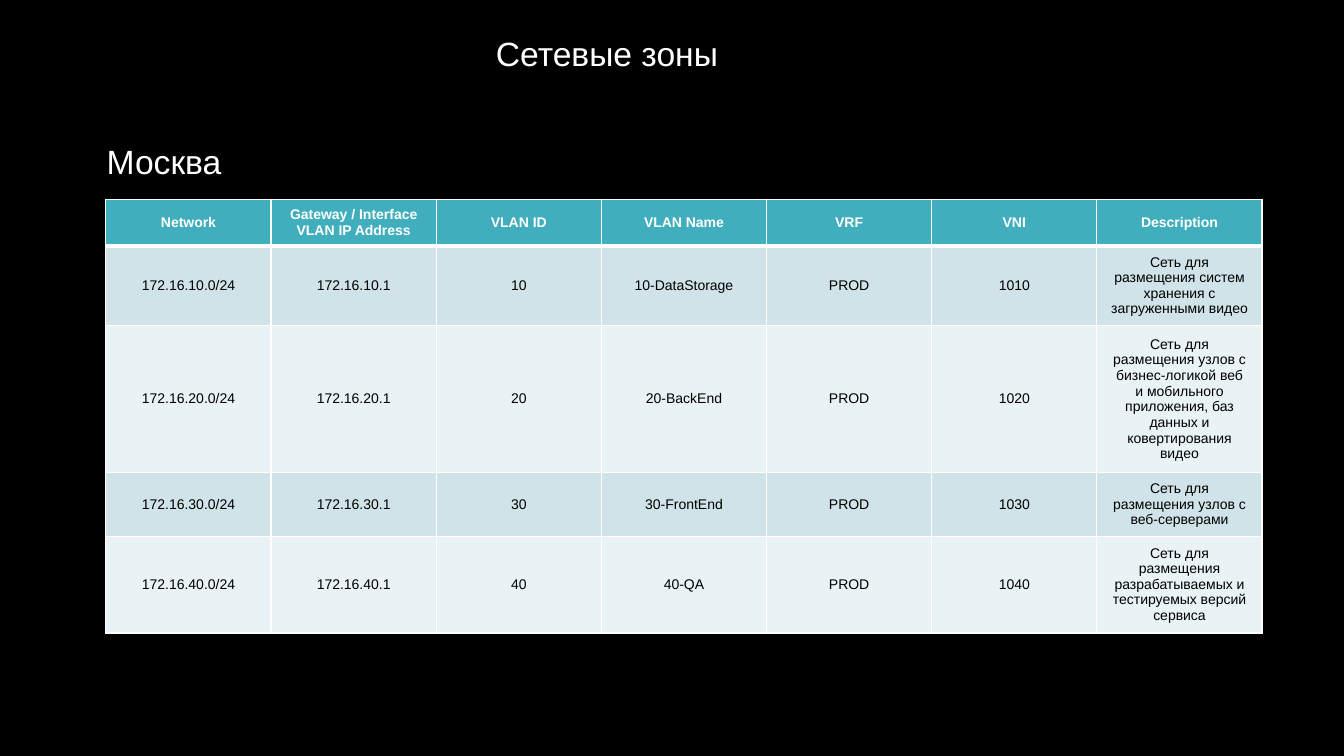
from lxml.etree import SubElement
from pptx import Presentation
from pptx.dml.color import RGBColor
from pptx.enum.text import MSO_ANCHOR, MSO_AUTO_SIZE, PP_ALIGN
from pptx.oxml.ns import qn
from pptx.util import Inches, Pt

WHITE, BLACK = "FFFFFF", "000000"
HEADER_FILL = "41AEBD"
BAND_FILLS = ("CFE3E8", "E9F2F4")

HEADINGS = ("Network", "Gateway / Interface VLAN IP Address", "VLAN ID",
            "VLAN Name", "VRF", "VNI", "Description")
# VLAN number, name suffix, description
ZONES = (
    (10, "DataStorage", "Сеть для размещения систем хранения с загруженными видео"),
    (20, "BackEnd", "Сеть для размещения узлов с бизнес-логикой веб и мобильного "
                    "приложения, баз данных и ковертирования видео"),
    (30, "FrontEnd", "Сеть для размещения узлов с веб-серверами"),
    (40, "QA", "Сеть для размещения разрабатываемых и тестируемых версий сервиса"),
)
ROW_HEIGHTS = (0.46, 0.79, 1.46, 0.63, 0.96)


def color(value):
    return RGBColor.from_string(value)


def write(frame, text, size=10, fill=WHITE, bold=False, align=PP_ALIGN.LEFT):
    paragraph = frame.paragraphs[0]
    paragraph.alignment = align
    run = paragraph.add_run()
    run.text = text
    run.font.name = "Arial"
    run.font.size = Pt(size)
    run.font.bold = bold
    run.font.color.rgb = color(fill)


def add_heading(slide, text, left, top, width, height):
    frame = slide.shapes.add_textbox(
        Inches(left), Inches(top), Inches(width), Inches(height)).text_frame
    frame.word_wrap = False
    frame.auto_size = MSO_AUTO_SIZE.SHAPE_TO_FIT_TEXT
    write(frame, text, size=24)


def set_borders(cell, top, bottom):
    properties = cell._tc.get_or_add_tcPr()
    widths = {"a:lnL": 1, "a:lnR": 1, "a:lnT": top, "a:lnB": bottom}
    # Border lines come before the fill in the cell properties
    for position, (side, width) in enumerate(widths.items()):
        line = SubElement(properties, qn(side), w=str(Pt(width)))
        fill = SubElement(line, qn("a:solidFill"))
        SubElement(fill, qn("a:srgbClr"), val=WHITE)
        properties.insert(position, line)


def zone_row(vlan, name, description):
    return (f"172.16.{vlan}.0/24", f"172.16.{vlan}.1", str(vlan),
            f"{vlan}-{name}", "PROD", str(1000 + vlan), description)


def add_zone_table(slide, left, top, width):
    rows = [HEADINGS] + [zone_row(*zone) for zone in ZONES]
    table = slide.shapes.add_table(
        len(rows), len(HEADINGS), Inches(left), Inches(top),
        Inches(width), Inches(sum(ROW_HEIGHTS))).table
    for column in table.columns:
        column.width = Inches(width / len(HEADINGS))
    for index, values in enumerate(rows):
        header = index == 0
        table.rows[index].height = Inches(ROW_HEIGHTS[index])
        for position, value in enumerate(values):
            cell = table.cell(index, position)
            cell.margin_left = cell.margin_right = Inches(0.14)
            cell.margin_top = cell.margin_bottom = Inches(0.06)
            cell.vertical_anchor = MSO_ANCHOR.MIDDLE
            cell.fill.solid()
            cell.fill.fore_color.rgb = color(
                HEADER_FILL if header else BAND_FILLS[(index - 1) % 2])
            set_borders(cell, top=3 if index == 1 else 1, bottom=3 if header else 1)
            write(cell.text_frame, value, fill=WHITE if header else BLACK,
                  bold=header, align=PP_ALIGN.CENTER)


def main():
    deck = Presentation()
    deck.slide_width, deck.slide_height = Inches(13.33), Inches(7.5)
    slide = deck.slides.add_slide(deck.slide_layouts[6])
    slide.background.fill.solid()
    slide.background.fill.fore_color.rgb = color(BLACK)

    # City and slide title
    add_heading(slide, "Москва", 0.96, 1.35, 1.35, 0.5)
    add_heading(slide, "Сетевые зоны", 4.82, 0.28, 2.52, 0.5)

    # Network zones
    add_zone_table(slide, 1.05, 1.98, 11.47)
    deck.save("out.pptx")


if __name__ == "__main__":
    main()
